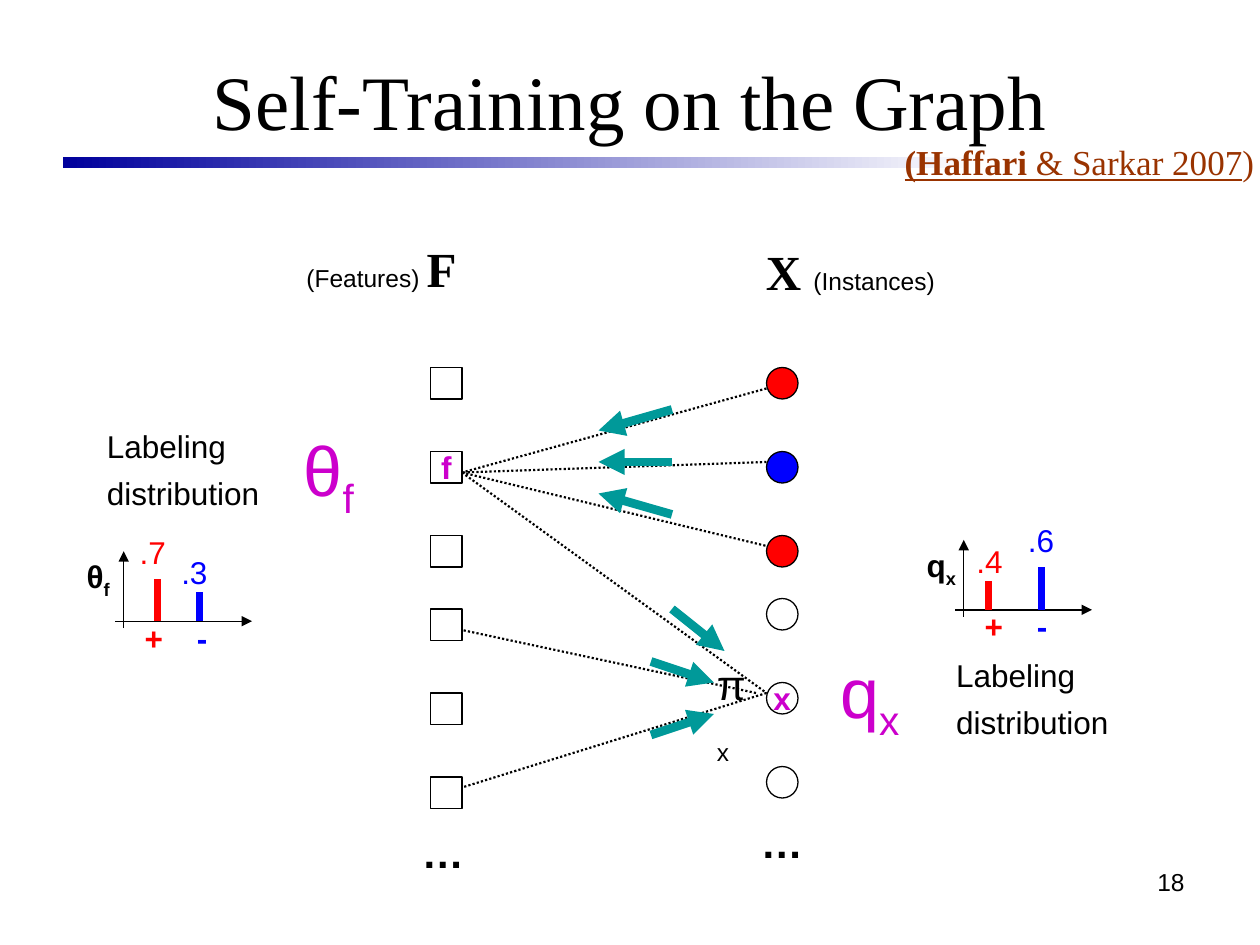
from pptx import Presentation
from pptx.dml.color import RGBColor
from pptx.enum.dml import MSO_LINE_DASH_STYLE as DASH
from pptx.enum.shapes import MSO_CONNECTOR, MSO_SHAPE
from pptx.enum.text import MSO_ANCHOR, PP_ALIGN
from pptx.oxml.ns import qn
from pptx.util import Pt
from lxml.etree import SubElement

BLACK = RGBColor(0x00, 0x00, 0x00)
WHITE = RGBColor(0xFF, 0xFF, 0xFF)
RED = RGBColor(0xFF, 0x00, 0x00)
BLUE = RGBColor(0x00, 0x00, 0xFF)
MAGENTA = RGBColor(0xCC, 0x00, 0xCC)
TEAL = RGBColor(0x00, 0x99, 0x99)
BROWN = RGBColor(0x99, 0x33, 0x00)
NAVY = RGBColor(0x00, 0x00, 0x9C)
SANS, SERIF = "Arial", "Times New Roman"

# Graph nodes: top, fill, label
NODE = 18
FEATURE_X, INSTANCE_X = 246, 438
FEATURES = [(210, None, ""), (258, None, "f"), (306, None, ""),
            (348, None, ""), (396, None, ""), (444, None, "")]
INSTANCES = [(210, RED, ""), (258, BLUE, ""), (306, RED, ""),
             (342, None, ""), (390, None, "x"), (438, None, "")]

# Lines: x1, y1, x2, y2
EDGES = [(438, 222, 264, 270), (438, 264, 264, 270), (264, 270, 438, 312),
         (432, 396, 264, 360), (438, 396, 264, 450), (264, 270, 438, 396)]
MESSAGES = [(384, 234, 342, 246), (384, 264, 342, 264), (384, 294, 342, 282),
            (372, 420, 408, 408), (372, 378, 408, 390), (384, 348, 414, 372)]

# Bars: sign, colour, bar x, bar height, sign x, value, value x, value y,
# all relative to the left end of the horizontal axis
DISTRIBUTIONS = [
    {"origin": (66, 355), "symbol": ("θ", "f"), "caption": (54, 240.5),
     "bars": [("+", RED, 24, 24, 9.6, ".7", 6.7, -54),
              ("-", BLUE, 48, 16.5, 39.4, ".3", 30.5, -42.5)]},
    {"origin": (546, 348.5), "symbol": ("q", "x"), "caption": (539.3, 371.5),
     "bars": [("+", RED, 19, 16.5, 9.6, ".4", 4.8, -42.5),
              ("-", BLUE, 49, 24.5, 39.4, ".6", 34.3, -54.5)]},
]


def set_font(font, size, color=BLACK, bold=False, name=SANS):
    font.size, font.bold, font.name = Pt(size), bold, name
    font.color.rgb = color


def text_box(s, left, top, width, height, wrap=False):
    tf = s.shapes.add_textbox(Pt(left), Pt(top), Pt(width), Pt(height)).text_frame
    tf.word_wrap = wrap
    return tf


def label(s, left, top, width, height, text, size, color=BLACK, bold=False,
          subscript="", wrap=False):
    p = text_box(s, left, top, width, height, wrap).paragraphs[0]
    p.add_run().text = text
    if subscript:
        r = p.add_run()
        r.text = subscript
        r._r.get_or_add_rPr().set("baseline", "-25000")
    set_font(p.font, size, color, bold)
    return p


def mixed_label(s, left, top, width, height, runs):
    """Runs are (text, size, bold, font name)."""
    p = text_box(s, left, top, width, height).paragraphs[0]
    for text, size, bold, name in runs:
        r = p.add_run()
        r.text = text
        set_font(r.font, size, BLACK, bold, name)


def line(s, ends, color, width, dash=None, arrow=False):
    c = s.shapes.add_connector(MSO_CONNECTOR.STRAIGHT, *map(Pt, ends))
    c.line.color.rgb, c.line.width = color, Pt(width)
    if dash:
        c.line.dash_style = dash
    if arrow:
        SubElement(c.line._get_or_add_ln(), qn("a:tailEnd"), type="triangle")
    SubElement(c._element.spPr, qn("a:effectLst"))


def node(s, kind, left, top, fill, text):
    sp = s.shapes.add_shape(kind, Pt(left), Pt(top), Pt(NODE), Pt(NODE))
    sp.shadow.inherit = False
    sp.line.color.rgb, sp.line.width = BLACK, Pt(0.75)
    if fill is None:
        sp.fill.background()
    else:
        sp.fill.solid()
        sp.fill.fore_color.rgb = fill
    if text:
        tf = sp.text_frame
        tf.word_wrap, tf.vertical_anchor = False, MSO_ANCHOR.MIDDLE
        p = tf.paragraphs[0]
        p.text, p.alignment = text, PP_ALIGN.CENTER
        set_font(p.font, 18, MAGENTA, True)


def distribution(s, origin, symbol, caption, bars):
    x, y = origin
    tf = text_box(s, *caption, 101.5, 55.5)
    tf.text = "Labeling\ndistribution"
    for p in tf.paragraphs:
        set_font(p.font, 18)
    tf.paragraphs[1].space_before = Pt(5)
    line(s, (x, y, x + 78, y), BLACK, 0.75, arrow=True)
    line(s, (x + 4.7, y + 4, x + 4.7, y - 40), BLACK, 0.75, arrow=True)
    for sign, color, bar_x, height, sign_x, value, value_x, value_y in bars:
        line(s, (x + bar_x, y, x + bar_x, y - height), color, 4)
        label(s, x + sign_x, y - 5, 24, 29, sign, 18, color, True)
        label(s, x + value_x, y + value_y, 29.5, 29, value, 18, color)
    base, sub = symbol
    greek = base == "θ"
    label(s, x - 23.5, y - 40, 27.5 if greek else 31, 31.5, base, 18, bold=True,
          subscript=sub, wrap=greek)


prs = Presentation()
prs.slide_width, prs.slide_height = Pt(720), Pt(540)
s = prs.slides.add_slide(prs.slide_layouts[5])

title = s.shapes.title
title.left, title.top, title.width, title.height = map(Pt, (36, 12, 648, 90))
title.text_frame.vertical_anchor = MSO_ANCHOR.MIDDLE
p = title.text_frame.paragraphs[0]
p.text, p.alignment = "Self-Training on the Graph", PP_ALIGN.CENTER
set_font(p.font, 44, name=SERIF)

rule = s.shapes.add_shape(MSO_SHAPE.ROUNDED_RECTANGLE, Pt(36), Pt(90), Pt(522), Pt(6))
rule.adjustments[0] = 0
rule.shadow.inherit = False
rule.line.fill.background()
rule.fill.gradient()
rule.fill.gradient_angle = 0
for stop, color in zip(rule.fill.gradient_stops, (NAVY, WHITE)):
    stop.color.rgb = color

mixed_label(s, 168, 133, 100, 41, [("(Features) ", 14, False, SANS), ("F", 28, True, SERIF)])
mixed_label(s, 430.6, 134.5, 111, 41, [("X ", 28, True, SERIF), ("(Instances)", 14, False, SANS)])

for ends in EDGES:
    line(s, ends, BLACK, 1.25, dash=DASH.ROUND_DOT)
for ends in MESSAGES:
    line(s, ends, TEAL, 5, arrow=True)
for kind, left, nodes in ((MSO_SHAPE.RECTANGLE, FEATURE_X, FEATURES),
                          (MSO_SHAPE.OVAL, INSTANCE_X, INSTANCES)):
    for top, fill, text in nodes:
        node(s, kind, left, top, fill, text)

label(s, 234, 469, 38, 36, "…", 24, bold=True)
label(s, 427.7, 463, 38, 36, "…", 24, bold=True)
label(s, 402.5, 373, 34.5, 40, "π", 24, subscript="x", wrap=True)
label(s, 473, 367, 48, 62, "q", 40, MAGENTA, subscript="x")
label(s, 166.5, 240, 73.5, 62, "θ", 40, MAGENTA, subscript="f", wrap=True)
for d in DISTRIBUTIONS:
    distribution(s, **d)

p = text_box(s, 509.8, 77, 214, 32).paragraphs[0]
for text, bold, underline in (("(Haffari", True, True), (" & Sarkar 2007", False, True),
                              (")", False, False)):
    r = p.add_run()
    r.text = text
    set_font(r.font, 20, BROWN, bold, SERIF)
    r.font.underline = underline

label(s, 516, 492, 168, 37.5, "18", 14, wrap=True).alignment = PP_ALIGN.RIGHT

prs.save("out.pptx")
